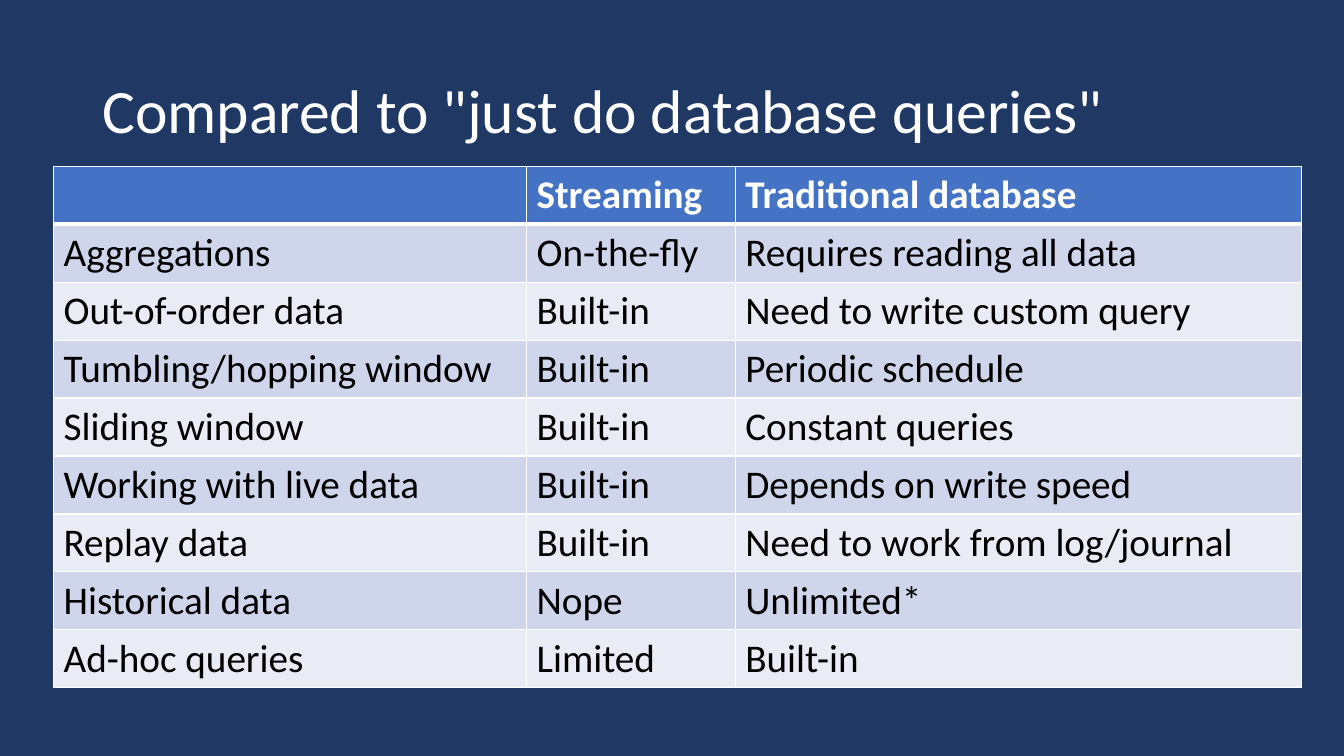
from lxml import etree
from pptx import Presentation
from pptx.dml.color import RGBColor
from pptx.enum.text import MSO_ANCHOR
from pptx.oxml.ns import qn
from pptx.util import Cm, Pt

MIDDLE = MSO_ANCHOR.MIDDLE

THEME = {
    "font": "Calibri",
    "back": "203864",
    "head": "4472C4",
    "bands": ("CFD5EA", "E9EBF5"),
    "light": "FFFFFF",
    "dark": "000000",
    "title": 44,
    "body": 28,
    "line": 1,
    "rule": 3,
}

ROWS = [
    ("", "Streaming", "Traditional database"),
    ("Aggregations", "On-the-fly", "Requires reading all data"),
    ("Out-of-order data", "Built-in", "Need to write custom query"),
    ("Tumbling/hopping window", "Built-in", "Periodic schedule"),
    ("Sliding window", "Built-in", "Constant queries"),
    ("Working with live data", "Built-in", "Depends on write speed"),
    ("Replay data", "Built-in", "Need to work from log/journal"),
    ("Historical data", "Nope", "Unlimited*"),
    ("Ad-hoc queries", "Limited", "Built-in"),
]
WIDTHS = (11.92, 5.26, 14.27)
HEIGHT = 1.46


def style(part, size, color, bold=False):
    part.font.name = THEME["font"]
    part.font.size = Pt(size)
    part.font.bold = bold
    part.font.color.rgb = RGBColor.from_string(color)


def border(cell, side, width):
    props = cell._tc.get_or_add_tcPr()
    line = etree.SubElement(props, qn("a:" + side), w=str(Pt(width)))
    fill = etree.SubElement(line, qn("a:solidFill"))
    etree.SubElement(fill, qn("a:srgbClr"), val=THEME["light"])


# Slide and background
deck = Presentation()
deck.slide_width = Cm(33.87)
deck.slide_height = Cm(19.05)
slide = deck.slides.add_slide(deck.slide_layouts[6])
slide.background.fill.solid()
slide.background.fill.fore_color.rgb = RGBColor.from_string(THEME["back"])

# Title
box = slide.shapes.add_textbox(Cm(2.33), Cm(1.01), Cm(29.21), Cm(3.68))
frame = box.text_frame
frame.word_wrap = True
frame.vertical_anchor = MIDDLE
frame.text = 'Compared to "just do database queries"'
title = frame.paragraphs[0]
title.line_spacing = 0.9
style(title.runs[0], THEME["title"], THEME["light"])

# Table grid
table = slide.shapes.add_table(
    len(ROWS), len(WIDTHS), Cm(1.35), Cm(4.19),
    Cm(sum(WIDTHS)), Cm(HEIGHT * len(ROWS))).table
for column, width in zip(table.columns, WIDTHS):
    column.width = Cm(width)
for row in table.rows:
    row.height = Cm(HEIGHT)

# Cells: header row, then alternating bands
for r, words in enumerate(ROWS):
    header = r == 0
    fill = THEME["head"] if header else THEME["bands"][(r - 1) % 2]
    ink = THEME["light"] if header else THEME["dark"]
    for c, text in enumerate(words):
        cell = table.cell(r, c)
        for side in ("lnL", "lnR", "lnT", "lnB"):
            thick = (r, side) in ((0, "lnB"), (1, "lnT"))
            border(cell, side, THEME["rule"] if thick else THEME["line"])
        cell.fill.solid()
        cell.fill.fore_color.rgb = RGBColor.from_string(fill)
        cell.text_frame.text = text
        for run in cell.text_frame.paragraphs[0].runs:
            style(run, THEME["body"], ink, header)

deck.save("out.pptx")
